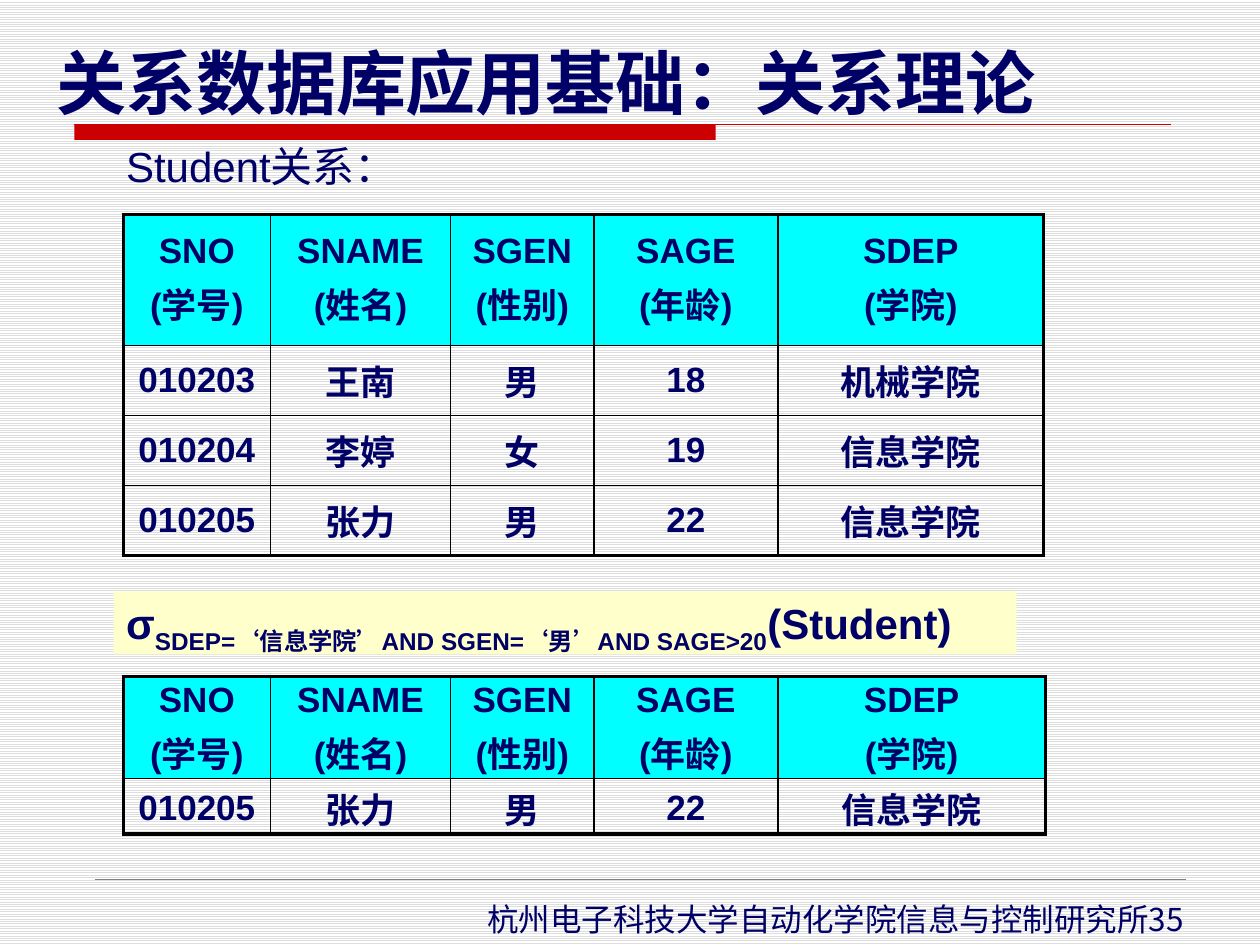
from pptx import Presentation
from pptx.dml.color import RGBColor
from pptx.enum.dml import MSO_PATTERN
from pptx.enum.lang import MSO_LANGUAGE_ID as LANG
from pptx.enum.shapes import MSO_CONNECTOR, MSO_SHAPE
from pptx.enum.text import MSO_ANCHOR as ANCHOR, MSO_AUTO_SIZE, PP_ALIGN as ALIGN
from pptx.oxml.ns import qn
from pptx.util import Pt
from lxml.etree import SubElement

COLORS = {
    "navy": "000066",
    "red": "CC0000",
    "cyan": "00FFFF",
    "cream": "FFFFCC",
    "grey": "808080",
    "stripe": "DDDDDD",
    "white": "FFFFFF",
    "black": "000000",
}
CJK = "Noto Sans CJK SC"
HEADER = ["SNO\n(学号)", "SNAME\n(姓名)", "SGEN\n(性别)", "SAGE\n(年龄)", "SDEP\n(学院)"]
STUDENTS = [
    ["010203", "王南", "男", "18", "机械学院"],
    ["010204", "李婷", "女", "19", "信息学院"],
    ["010205", "张力", "男", "22", "信息学院"],
]


def rgb(name):
    return RGBColor.from_string(COLORS[name])


def write(tf, text, size=24, font="Arial", bold=False, align=ALIGN.LEFT,
          anchor=ANCHOR.TOP, gap=0, subscript=None):
    tf.vertical_anchor = anchor
    for i, line in enumerate(text.split("\n")):
        p = tf.paragraphs[0] if i == 0 else tf.add_paragraph()
        p.alignment = align
        if i:
            p.space_before = Pt(gap)
        for part in line.partition(subscript) if subscript else [line]:
            r = p.add_run()
            r.text = part
            f = r.font
            f.size, f.bold, f.name = Pt(size), bold, font
            f.color.rgb = rgb("navy")
            f.language_id = LANG.SIMPLIFIED_CHINESE
            SubElement(f._element, qn("a:ea")).set("typeface", CJK)
            if part == subscript:
                f._element.set("baseline", "-25000")


class SlideBuilder:
    """Holds the current slide and draws its elements in the shared style."""

    def __init__(self, slide):
        self.slide = slide
        self.shapes = slide.shapes

    def background(self):
        fill = self.slide.background.fill
        fill.patterned()
        fill.pattern = MSO_PATTERN.LIGHT_HORIZONTAL
        fill.fore_color.rgb, fill.back_color.rgb = rgb("stripe"), rgb("white")

    def title(self, text, x, y, w, h):
        sp = self.shapes.title
        sp.left, sp.top, sp.width, sp.height = map(Pt, (x, y, w, h))
        sp.text_frame.auto_size = MSO_AUTO_SIZE.NONE
        write(sp.text_frame, text, size=40, font="DejaVu Sans", bold=True,
              anchor=ANCHOR.BOTTOM)

    def text(self, text, x, y, w, h, wrap=True, **fmt):
        tf = self.shapes.add_textbox(*map(Pt, (x, y, w, h))).text_frame
        tf.word_wrap = wrap
        write(tf, text, **fmt)

    def box(self, color, x, y, w, h, text=None, **fmt):
        sp = self.shapes.add_shape(MSO_SHAPE.RECTANGLE, *map(Pt, (x, y, w, h)))
        sp.shadow.inherit = False
        sp.fill.solid()
        sp.fill.fore_color.rgb = rgb(color)
        sp.line.fill.background()
        if text:
            write(sp.text_frame, text, **fmt)

    def rule(self, color, x1, x2, y, width):
        line = self.shapes.add_connector(MSO_CONNECTOR.STRAIGHT, Pt(x1), Pt(y), Pt(x2), Pt(y))
        line.line.color.rgb = rgb(color)
        line.line.width = Pt(width)
        SubElement(line._element.spPr, qn("a:effectLst"))

    def border(self, cell, side, width):
        ln = SubElement(cell._tc.get_or_add_tcPr(), qn(f"a:ln{side}"), w=str(Pt(width)))
        fill = SubElement(ln, qn("a:solidFill"))
        SubElement(fill, qn("a:srgbClr"), val=COLORS["black"])

    def table(self, rows, x, y, widths, heights, margins):
        frame = self.shapes.add_table(len(rows), len(widths), Pt(x), Pt(y),
                                      Pt(sum(widths)), Pt(sum(heights)))
        table = frame.table
        table.horz_banding = table.first_row = False
        for column, width in zip(table.columns, widths):
            column.width = Pt(width)
        for i, (values, height) in enumerate(zip(rows, heights)):
            table.rows[i].height = Pt(height)
            for j, value in enumerate(values):
                cell = table.cell(i, j)
                cell.margin_top, cell.margin_bottom = map(Pt, margins)
                outer = {"L": j == 0, "R": j == len(widths) - 1,
                         "T": i == 0, "B": i == len(rows) - 1}
                for side, is_outer in outer.items():
                    self.border(cell, side, 2.25 if is_outer else 1)
                if i == 0:
                    cell.fill.solid()
                    cell.fill.fore_color.rgb = rgb("cyan")
                else:
                    cell.fill.background()
                write(cell.text_frame, value, size=20, bold=True,
                      align=ALIGN.CENTER, gap=4)
                cell.vertical_anchor = ANCHOR.MIDDLE


def main():
    prs = Presentation()
    prs.slide_width, prs.slide_height = Pt(720), Pt(540)
    s = SlideBuilder(prs.slides.add_slide(prs.slide_layouts[5]))
    s.background()
    s.box("red", 42.5, 71.3, 366.5, 8.7)
    s.rule("red", 42.5, 669, 71.3, 0.75)
    s.rule("grey", 54, 677.5, 502.5, 0.25)
    s.title("关系数据库应用基础：关系理论", 25, 15, 675, 59)
    s.text("杭州电子科技大学自动化学院信息与控制研究所35", 271.5, 511, 440, 29,
           wrap=False, size=18, font=CJK)
    s.text("Student关系：", 65, 77, 335.5, 36)
    s.table([HEADER, *STUDENTS], 70.5, 122.5, [84, 103, 82, 105, 152],
            [75, 40, 40, 40], (3.6, 3.6))
    condition = "SDEP=‘信息学院’AND SGEN=‘男’AND SAGE>20"
    s.box("cream", 65, 338, 516, 36, f"σ{condition}(Student)", bold=True,
          subscript=condition)
    s.table([HEADER, STUDENTS[-1]], 70.5, 386.5, [84, 103, 82, 105, 153],
            [58.5, 31.5], (2, 0))
    prs.save("out.pptx")


if __name__ == "__main__":
    main()
